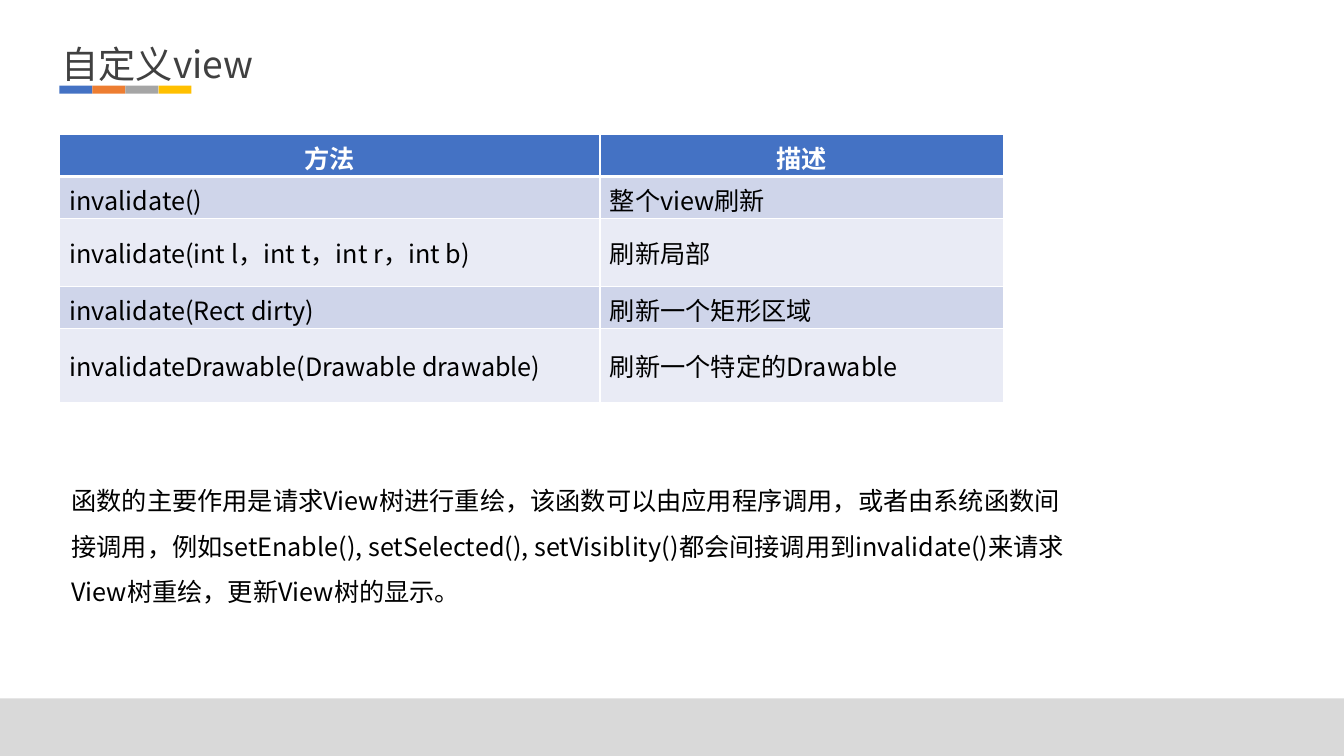
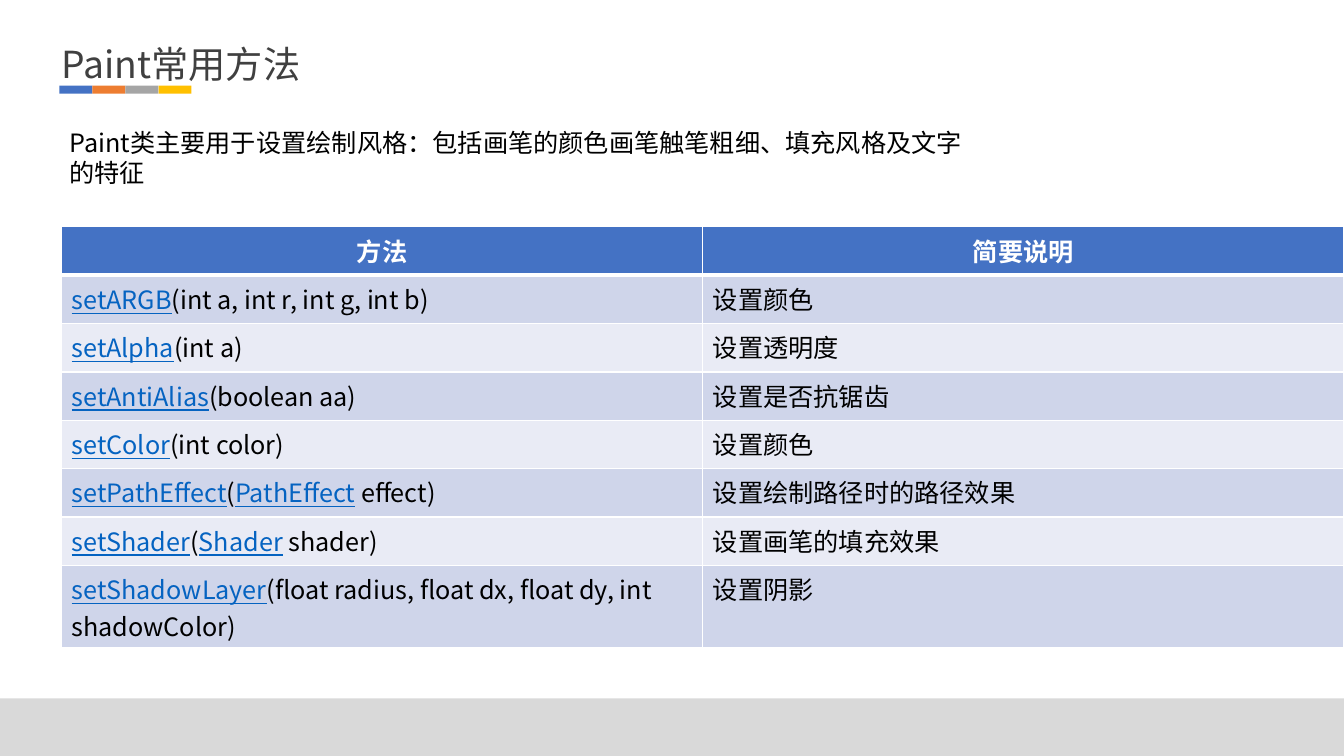
from lxml import etree
from pptx import Presentation
from pptx import util as u
from pptx.dml.color import RGBColor
from pptx.enum import shapes, text
from pptx.oxml import ns

WIDTH, HEIGHT = 13.33, 7.5
LEFT = 0.61
FONT = "Noto Sans CJK SC"
WHITE = RGBColor(0xFF, 0xFF, 0xFF)
BLACK = RGBColor(0, 0, 0)
TITLE_GREY = RGBColor(0x40, 0x40, 0x40)
FOOTER_GREY = RGBColor(0xD9, 0xD9, 0xD9)
BLUE = RGBColor(0x44, 0x72, 0xC4)
ORANGE = RGBColor(0xED, 0x7D, 0x31)
GREY = RGBColor(0xA5, 0xA5, 0xA5)
YELLOW = RGBColor(0xFF, 0xC0, 0x00)
LINK_BLUE = RGBColor(0x05, 0x63, 0xC1)
ROW_FILLS = (RGBColor(0xCF, 0xD5, 0xEA), RGBColor(0xE9, 0xEB, 0xF5))

TITLE = {"size": u.Pt(26.6), "color": TITLE_GREY}
BODY = {"size": u.Pt(18), "color": BLACK}
HEADER = {**BODY, "color": WHITE, "bold": True}
LINK = {**BODY, "color": LINK_BLUE, "underline": True}

REFRESH_METHODS = [
    ("方法", "描述"),
    ("invalidate()", "整个view刷新"),
    ("invalidate(int l，int t，int r，int b)", "刷新局部"),
    ("invalidate(Rect dirty)", "刷新一个矩形区域"),
    ("invalidateDrawable(Drawable drawable)", "刷新一个特定的Drawable"),
]
# In a tuple, underlined names and plain text take turns.
PAINT_METHODS = [
    ("方法", "简要说明"),
    (("setARGB", "(int a, int r, int g, int b)"), "设置颜色"),
    (("setAlpha", "(int a)"), "设置透明度"),
    (("setAntiAlias", "(boolean aa)"), "设置是否抗锯齿"),
    (("setColor", "(int color)"), "设置颜色"),
    (("setPathEffect", "(", "PathEffect", " effect)"), "设置绘制路径时的路径效果"),
    (("setShader", "(", "Shader", " shader)"), "设置画笔的填充效果"),
    (("setShadowLayer", "(float radius, float dx, float dy, int shadowColor)"), "设置阴影"),
]


def inches(box):
    return [u.Inches(length) for length in box]


def add_span(para, words, style):
    span = para.add_run()
    span.text = words
    span.font.name = FONT
    for name, value in style.items():
        if name == "color":
            span.font.color.rgb = value
        else:
            setattr(span.font, name, value)
    latin = span.font._element.find(ns.qn("a:latin"))
    east_asian = etree.Element(ns.qn("a:ea"), typeface=FONT)
    latin.addnext(east_asian)


def add_bar(parent, box, color):
    bar = parent.add_shape(shapes.MSO_SHAPE.RECTANGLE, *inches(box))
    bar.shadow.inherit = False
    bar.fill.solid()
    bar.fill.fore_color.rgb = color
    bar.line.fill.background()


def add_text(page, box, words, style, margin=None, spacing=None):
    frame = page.shapes.add_textbox(*inches(box)).text_frame
    frame.word_wrap = True
    if margin is not None:
        for side in ("left", "top", "right", "bottom"):
            setattr(frame, f"margin_{side}", margin)
    para = frame.paragraphs[0]
    para.line_spacing = spacing
    add_span(para, words, style)


def add_accent(page, box):
    """Four equal colour bars in one group."""
    left, top, width, height = box
    colors = (BLUE, ORANGE, GREY, YELLOW)
    step = width / len(colors)
    group = page.shapes.add_group_shape()
    for index, color in enumerate(colors):
        add_bar(group.shapes, (left + index * step, top, step, height), color)


def add_page(deck, title):
    page = deck.slides.add_slide(deck.slide_layouts[6])
    add_bar(page.shapes, (0, 6.93, WIDTH, HEIGHT - 6.93), FOOTER_GREY)
    add_text(page, (LEFT, 0.41, 4.6, 0.45), title, TITLE, margin=0)
    add_accent(page, (0.59, 0.85, 1.31, 0.08))
    return page


def set_borders(cell, widths):
    """Put white lines, of widths in points by side, ahead of the cell's fill."""
    properties = cell._tc.get_or_add_tcPr()
    for index, (side, width) in enumerate(widths.items()):
        line = etree.Element(ns.qn(f"a:ln{side}"), w=str(u.Pt(width)))
        fill = etree.SubElement(line, ns.qn("a:solidFill"))
        etree.SubElement(fill, ns.qn("a:srgbClr"), val=str(WHITE))
        properties.insert(index, line)


def add_method_table(page, corner, widths, heights, rows, anchor, spacing=None):
    size = (sum(widths), sum(heights))
    table = page.shapes.add_table(len(rows), len(widths), *inches((*corner, *size))).table
    for column, width in zip(table.columns, widths):
        column.width = u.Inches(width)
    for row, height in zip(table.rows, heights):
        row.height = u.Inches(height)
    for row_index, row in enumerate(rows):
        is_header = row_index == 0
        for column_index, content in enumerate(row):
            cell = table.cell(row_index, column_index)
            cell.fill.solid()
            cell.fill.fore_color.rgb = BLUE if is_header else ROW_FILLS[(row_index - 1) % 2]
            top, bottom = {0: (1, 3), 1: (3, 1)}.get(row_index, (1, 1))
            set_borders(cell, {"L": 1, "R": 1, "T": top, "B": bottom})
            para = cell.text_frame.paragraphs[0]
            para.line_spacing = spacing
            if is_header:
                para.alignment = text.PP_ALIGN.CENTER
                add_span(para, content, HEADER)
                continue
            cell.vertical_anchor = anchor
            if isinstance(content, str):
                add_span(para, content, BODY)
                continue
            for index, words in enumerate(content):
                add_span(para, words, BODY if index % 2 else LINK)


def add_view_page(deck):
    page = add_page(deck, "自定义view")
    add_method_table(page, (0.59, 1.33), (5.36, 4), (0.42, 0.42, 0.67, 0.42, 0.74),
                     REFRESH_METHODS, text.MSO_ANCHOR.MIDDLE)
    add_text(page, (LEFT, 4.62, 10.22, 1.46),
             "函数的主要作用是请求View树进行重绘，该函数可以由应用程序调用，或者由系统函数间接调用，"
             "例如setEnable(), setSelected(), setVisiblity()都会间接调用到invalidate()"
             "来请求View树重绘，更新View树的显示。", BODY, spacing=1.5)


def add_paint_page(deck):
    page = add_page(deck, "Paint常用方法")
    add_text(page, (0.59, 1.21, 9.21, 0.71),
             "Paint类主要用于设置绘制风格：包括画笔的颜色画笔触笔粗细、填充风格及文字的特征", BODY)
    add_method_table(page, (LEFT, 2.25), (6.36, 6.36), [0.48] * 7 + [0.82],
                     PAINT_METHODS, text.MSO_ANCHOR.TOP)


def main():
    deck = Presentation()
    deck.slide_width, deck.slide_height = inches((WIDTH, HEIGHT))
    add_view_page(deck)
    add_paint_page(deck)
    deck.save("out.pptx")


if __name__ == "__main__":
    main()
